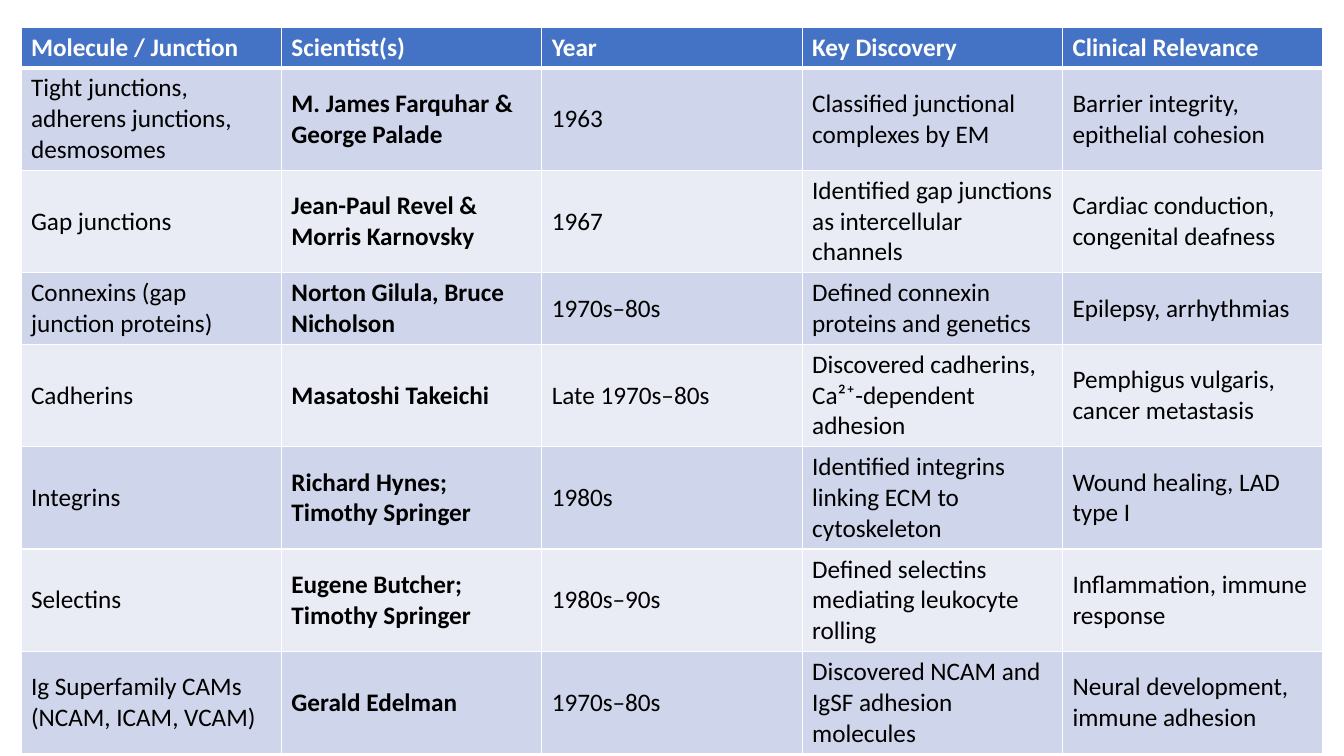
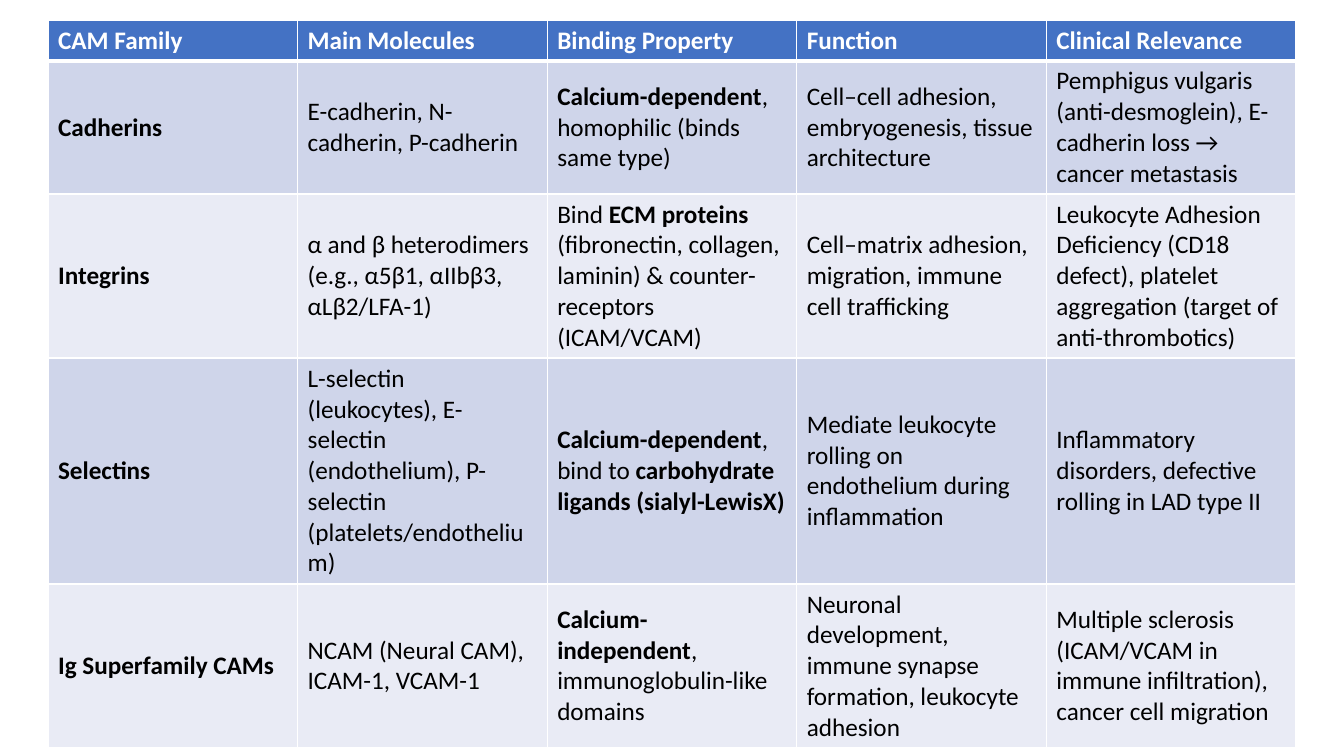
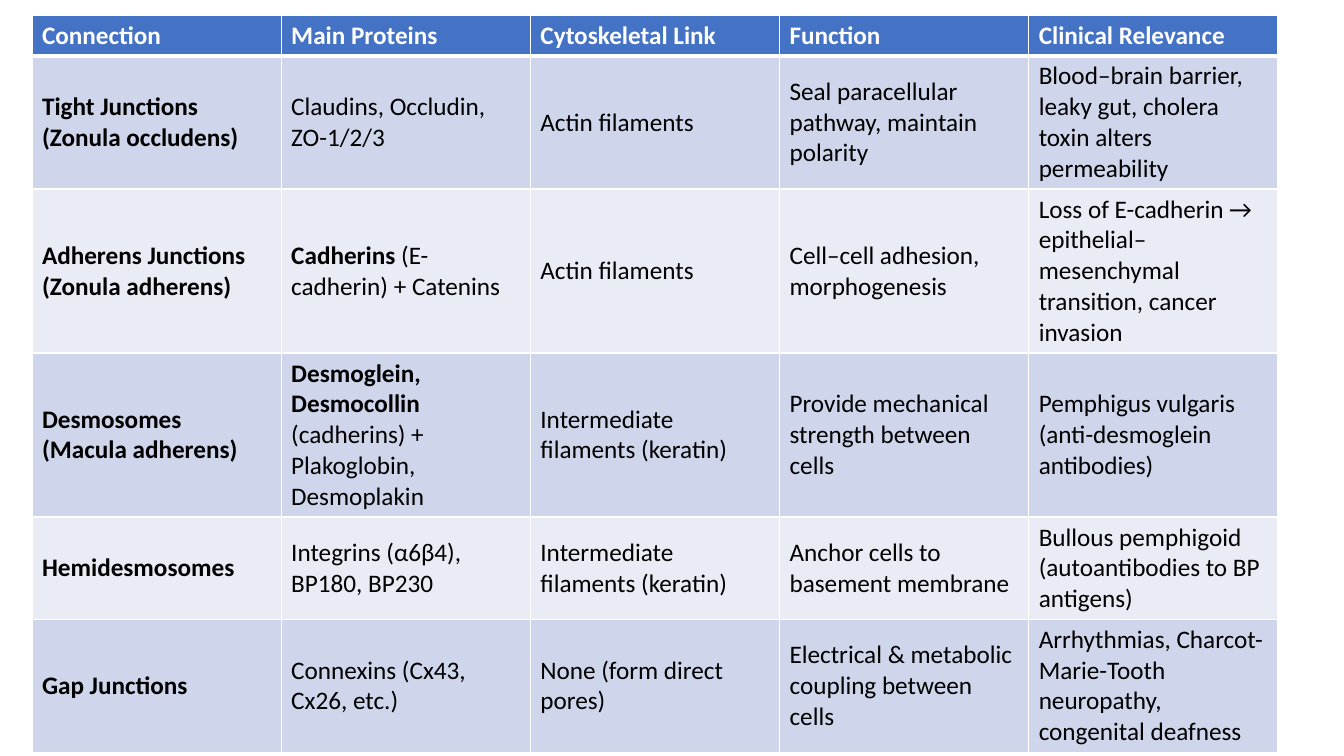
"""Build three table slides on cell adhesion molecules and junctions."""
import lxml.etree
import pptx
import pptx.dml.color
import pptx.enum.text
import pptx.oxml.ns
import pptx.util

EMU_PER_PX = 914400 / 100.8
SLIDE_WIDTH, SLIDE_HEIGHT = 1344, 756
LINE_HEIGHT, ROW_PADDING = 31, 9
FONT = "Calibri"
WHITE, BLACK = "FFFFFF", "000000"
HEADER_FILL = "4472C4"
BAND_FILLS = ["CFD5EA", "E9EBF5"]

TABLES = [
    {
        "left": 21, "top": 27, "width": 1302, "bold_column": 1,
        "lines": [1, 3, 3, 2, 3, 3, 3, 3],
        "rows": [
            ["Molecule / Junction", "Scientist(s)", "Year", "Key Discovery", "Clinical Relevance"],
            ["Tight junctions, adherens junctions, desmosomes", "M. James Farquhar & George Palade",
             "1963", "Classified junctional complexes by EM", "Barrier integrity, epithelial cohesion"],
            ["Gap junctions", "Jean-Paul Revel & Morris Karnovsky", "1967",
             "Identified gap junctions as intercellular channels",
             "Cardiac conduction, congenital deafness"],
            ["Connexins (gap junction proteins)", "Norton Gilula, Bruce Nicholson", "1970s–80s",
             "Defined connexin proteins and genetics", "Epilepsy, arrhythmias"],
            ["Cadherins", "Masatoshi Takeichi", "Late 1970s–80s",
             "Discovered cadherins, Ca²⁺-dependent adhesion", "Pemphigus vulgaris, cancer metastasis"],
            ["Integrins", "Richard Hynes; Timothy Springer", "1980s",
             "Identified integrins linking ECM to cytoskeleton", "Wound healing, LAD type I"],
            ["Selectins", "Eugene Butcher; Timothy Springer", "1980s–90s",
             "Defined selectins mediating leukocyte rolling", "Inflammation, immune response"],
            ["Ig Superfamily CAMs (NCAM, ICAM, VCAM)", "Gerald Edelman", "1970s–80s",
             "Discovered NCAM and IgSF adhesion molecules", "Neural development, immune adhesion"],
        ],
    },
    {
        "left": 48, "top": 20, "width": 1248, "bold_column": 0,
        "lines": [1, 4, 5, 7, 5],
        "rows": [
            ["CAM Family", "Main Molecules", "Binding Property", "Function", "Clinical Relevance"],
            ["Cadherins", "E-cadherin, N-cadherin, P-cadherin",
             "**Calcium-dependent**, homophilic (binds same type)",
             "Cell–cell adhesion, embryogenesis, tissue architecture",
             "Pemphigus vulgaris (anti-desmoglein), E-cadherin loss → cancer metastasis"],
            ["Integrins", "α and β heterodimers (e.g., α5β1, αIIbβ3, αLβ2/LFA-1)",
             "Bind **ECM proteins** (fibronectin, collagen, laminin) & counter-receptors (ICAM/VCAM)",
             "Cell–matrix adhesion, migration, immune cell trafficking",
             "Leukocyte Adhesion Deficiency (CD18 defect), platelet aggregation "
             "(target of anti-thrombotics)"],
            ["Selectins",
             "L-selectin (leukocytes), E-selectin (endothelium), P-selectin (platelets/endothelium)",
             "**Calcium-dependent**, bind to **carbohydrate ligands (sialyl-LewisX)**",
             "Mediate leukocyte rolling on endothelium during inflammation",
             "Inflammatory disorders, defective rolling in LAD type II"],
            ["Ig Superfamily CAMs", "NCAM (Neural CAM), ICAM-1, VCAM-1",
             "**Calcium-independent**, immunoglobulin-like domains",
             "Neuronal development, immune synapse formation, leukocyte adhesion",
             "Multiple sclerosis (ICAM/VCAM in immune infiltration), cancer cell migration"],
        ],
    },
    {
        "left": 32, "top": 15, "width": 1246, "bold_column": 0,
        "lines": [1, 4, 5, 5, 3, 4],
        "rows": [
            ["Connection", "Main Proteins", "Cytoskeletal Link", "Function", "Clinical Relevance"],
            ["Tight Junctions (Zonula occludens)", "Claudins, Occludin, ZO-1/2/3", "Actin filaments",
             "Seal paracellular pathway, maintain polarity",
             "Blood–brain barrier, leaky gut, cholera toxin alters permeability"],
            ["Adherens Junctions (Zonula adherens)", "**Cadherins** (E-cadherin) + Catenins",
             "Actin filaments", "Cell–cell adhesion, morphogenesis",
             "Loss of E-cadherin → epithelial–mesenchymal transition, cancer invasion"],
            ["Desmosomes (Macula adherens)",
             "**Desmoglein, Desmocollin** (cadherins) + Plakoglobin, Desmoplakin",
             "Intermediate filaments (keratin)", "Provide mechanical strength between cells",
             "Pemphigus vulgaris (anti-desmoglein antibodies)"],
            ["Hemidesmosomes", "Integrins (α6β4), BP180, BP230", "Intermediate filaments (keratin)",
             "Anchor cells to basement membrane", "Bullous pemphigoid (autoantibodies to BP antigens)"],
            ["Gap Junctions", "Connexins (Cx43, Cx26, etc.)", "None (form direct pores)",
             "Electrical & metabolic coupling between cells",
             "Arrhythmias, Charcot-Marie-Tooth neuropathy, congenital deafness"],
        ],
    },
]


def px(length):
    return pptx.util.Emu(round(length * EMU_PER_PX))


def rgb(color):
    return pptx.dml.color.RGBColor.from_string(color)


def write_text(paragraph, text, size=18, color=BLACK, bold=False):
    for index, part in enumerate(text.split("**")):
        if part:
            run = paragraph.add_run()
            run.text = part
            run.font.name = FONT
            run.font.size = pptx.util.Pt(size)
            run.font.color.rgb = rgb(color)
            run.font.bold = bold or index % 2 == 1


def set_borders(cell, **widths):
    properties = cell._tc.get_or_add_tcPr()
    for side in "LRTB":
        width = pptx.util.Pt(widths.get(side, 1))
        line = lxml.etree.SubElement(properties, pptx.oxml.ns.qn(f"a:ln{side}"), w=str(width))
        fill = lxml.etree.SubElement(line, pptx.oxml.ns.qn("a:solidFill"))
        lxml.etree.SubElement(fill, pptx.oxml.ns.qn("a:srgbClr"), val=WHITE)


def format_cell(cell, text, row, bold):
    header = row == 0
    set_borders(cell, T=3 if row == 1 else 1, B=3 if header else 1)
    cell.fill.solid()
    cell.fill.fore_color.rgb = rgb(HEADER_FILL if header else BAND_FILLS[(row - 1) % 2])
    cell.vertical_anchor = pptx.enum.text.MSO_ANCHOR.MIDDLE
    write_text(cell.text_frame.paragraphs[0], text,
               color=WHITE if header else BLACK, bold=header or bold)


def add_table_slide(presentation, content):
    slide = presentation.slides.add_slide(presentation.slide_layouts[6])
    rows = content["rows"]
    heights = [ROW_PADDING + LINE_HEIGHT * lines for lines in content["lines"]]
    table = slide.shapes.add_table(
        len(rows), len(rows[0]), px(content["left"]), px(content["top"]),
        px(content["width"]), px(sum(heights))).table
    for row, (texts, height) in enumerate(zip(rows, heights)):
        table.rows[row].height = px(height)
        for column, text in enumerate(texts):
            format_cell(table.cell(row, column), text, row, column == content["bold_column"])


def main():
    presentation = pptx.Presentation()
    presentation.slide_width = px(SLIDE_WIDTH)
    presentation.slide_height = px(SLIDE_HEIGHT)
    for content in TABLES:
        add_table_slide(presentation, content)
    presentation.save("out.pptx")


if __name__ == "__main__":
    main()
